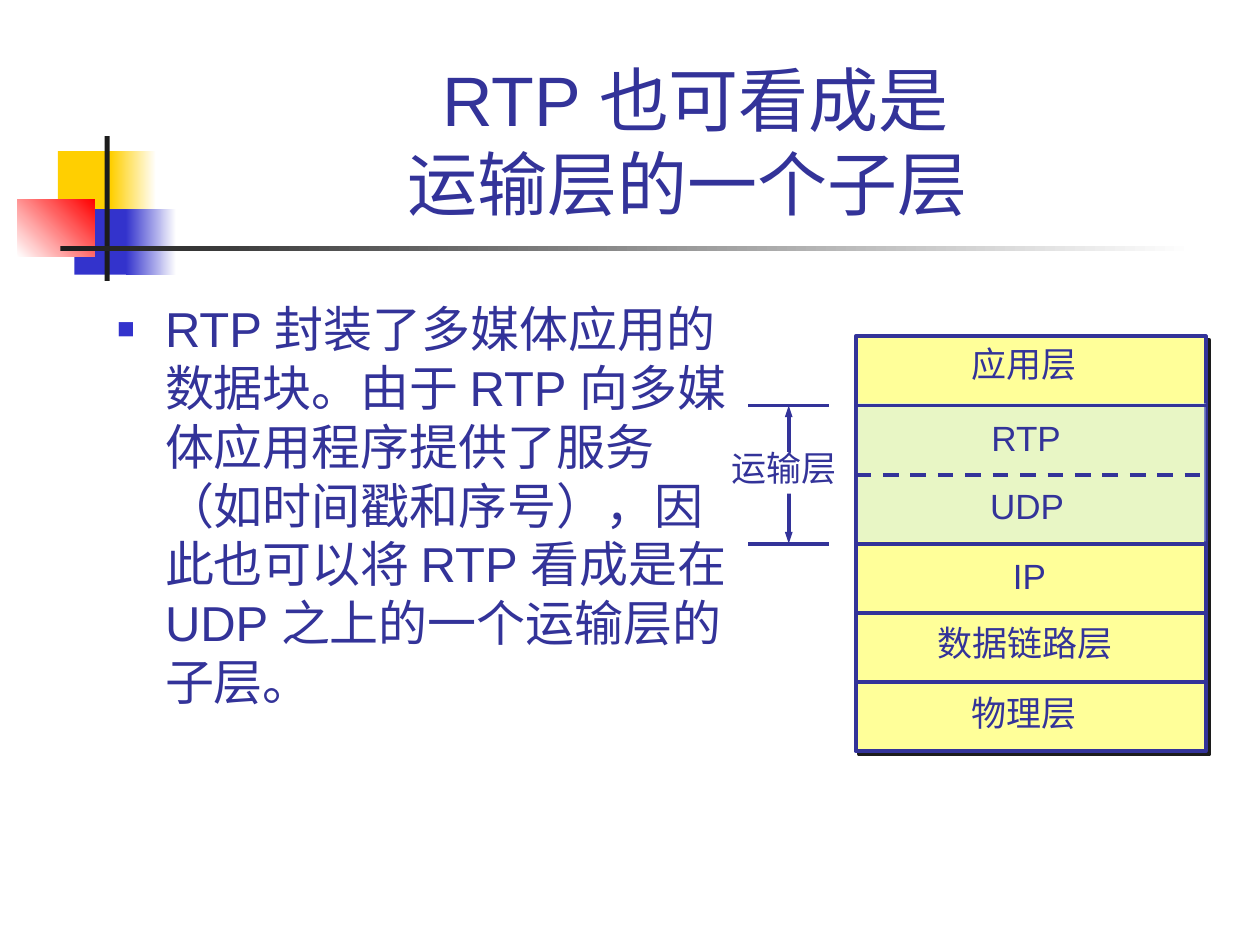
from lxml.etree import SubElement
from pptx import Presentation
from pptx.dml.color import RGBColor
from pptx.enum.dml import MSO_LINE
from pptx.enum.shapes import MSO_CONNECTOR, MSO_SHAPE
from pptx.enum.text import MSO_ANCHOR, MSO_AUTO_SIZE, PP_ALIGN
from pptx.oxml.ns import qn
from pptx.util import Inches, Pt

NAVY = RGBColor(0x33, 0x33, 0x99)
BLUE = RGBColor(0x33, 0x33, 0xCC)
GOLD = RGBColor(0xFF, 0xCF, 0x01)
RED = RGBColor(0xFF, 0x00, 0x00)
BLACK = RGBColor(0x1C, 0x1C, 0x1C)
WHITE = RGBColor(0xFF, 0xFF, 0xFF)
YELLOW = RGBColor(0xFF, 0xFF, 0x99)
SKY = RGBColor(0xCC, 0xEC, 0xFF)
FONT = "Arial"
STACK_H = 3.29
ROW_H = STACK_H / 6


def sub(parent, tag, **attrs):
    return SubElement(parent, qn(tag), attrs)


def style_text(tf, size):
    for p in tf.paragraphs:
        for r in p.runs:
            r.font.name = FONT
            r.font.size = Pt(size)
            r.font.color.rgb = NAVY


def place(sp, x, y, w, h):
    sp.left, sp.top, sp.width, sp.height = map(Inches, (x, y, w, h))


def add_rect(slide, x, y, w, h, start, end=None, angle=0):
    """Add a rectangle with a plain fill, or a gradient when end is given."""
    sp = slide.shapes.add_shape(MSO_SHAPE.RECTANGLE, *map(Inches, (x, y, w, h)))
    sp.shadow.inherit = False
    sp.line.fill.background()
    if end is None:
        sp.fill.solid()
        sp.fill.fore_color.rgb = start
    else:
        sp.fill.gradient()
        sp.fill.gradient_angle = angle
        for stop, color, pos in zip(sp.fill.gradient_stops, (start, end), (0, 1)):
            stop.color.rgb = color
            stop.position = pos
    return sp


def add_line(slide, x1, y1, x2, y2):
    ln = slide.shapes.add_connector(
        MSO_CONNECTOR.STRAIGHT, *map(Inches, (x1, y1, x2, y2)))
    ln.line.color.rgb = NAVY
    ln.line.width = Pt(2.25)
    sub(ln._element.spPr, "a:effectLst")
    return ln


def add_label(slide, text, x, y, w, h=0.43):
    """Add a one-line label; the right inset is dropped so it never wraps."""
    sp = slide.shapes.add_textbox(*map(Inches, (x, y, w, h)))
    tf = sp.text_frame
    tf.word_wrap = True
    tf.margin_right = 0
    tf.auto_size = MSO_AUTO_SIZE.NONE
    tf.text = text
    style_text(tf, 20)
    return sp


def add_decoration(slide, x, y):
    """Coloured blocks and crossing bars beside the title."""
    add_rect(slide, x + 0.32, y + 0.12, 0.48, 0.52, GOLD)
    add_rect(slide, x + 0.74, y + 0.12, 0.36, 0.52, GOLD, WHITE)
    add_rect(slide, x + 0.45, y + 0.58, 0.46, 0.52, BLUE)
    add_rect(slide, x + 0.86, y + 0.58, 0.4, 0.52, BLUE, WHITE)
    add_rect(slide, x, y + 0.5, 0.61, 0.46, WHITE, RED, 45)
    add_rect(slide, x + 0.69, y, 0.04, 1.15, BLACK)
    add_rect(slide, x + 0.34, y + 0.87, 9, 0.04, BLACK, WHITE)


def fill_title(sp, x, y, w, h):
    place(sp, x, y, w, h)
    tf = sp.text_frame
    tf.text = "RTP 也可看成是\v运输层的一个子层 "
    tf.auto_size = MSO_AUTO_SIZE.NONE
    tf.vertical_anchor = MSO_ANCHOR.BOTTOM
    tf.paragraphs[0].alignment = PP_ALIGN.CENTER
    style_text(tf, 40)


def fill_body(sp, x, y, w, h):
    place(sp, x, y, w, h)
    tf = sp.text_frame
    tf.text = ("RTP 封装了多媒体应用的数据块。由于 RTP 向多媒体应用程序提供了服务"
               "（如时间戳和序号），因此也可以将 RTP 看成是在 UDP 之上的一个运输层的子层。")
    tf.auto_size = MSO_AUTO_SIZE.NONE
    p = tf.paragraphs[0]
    pPr = p._p.get_or_add_pPr()
    pPr.set("marL", str(Inches(0.38)))
    pPr.set("indent", str(-Inches(0.38)))
    sub(sub(pPr, "a:buClr"), "a:srgbClr", val=str(BLUE))
    sub(pPr, "a:buSzPct", val="60000")
    sub(pPr, "a:buFont", typeface=FONT)
    sub(pPr, "a:buChar", char="■")
    p.space_before = Pt(0)
    style_text(tf, 28)


def add_stack_box(slide, x, y, w, h):
    """Shadowed protocol stack with a tinted transport band."""
    box = add_rect(slide, x, y, w, h, YELLOW)
    box.line.color.rgb = NAVY
    box.line.width = Pt(2.25)
    effects = box._element.spPr.find(qn("a:effectLst"))
    shadow = sub(effects, "a:outerShdw", dist=str(Pt(2.8)), dir="2700000",
                 algn="ctr", rotWithShape="0")
    sub(shadow, "a:srgbClr", val=str(BLACK))

    band = add_rect(slide, x + 0.02, y + 0.53, w - 0.02, 2 * ROW_H, SKY)
    color = band._element.spPr.find(qn("a:solidFill")).find(qn("a:srgbClr"))
    sub(color, "a:alpha", val="44000")


def add_stack_layers(slide, x, y, w):
    layers = [("应用层", 0.82, 0, 1.03), ("RTP", 0.98, 0.04, 0.76),
              ("UDP", 0.97, 0.03, 0.79), ("IP", 1.15, 0.04, 0.46),
              ("数据链路层", 0.55, 0.02, 1.59), ("物理层", 0.82, 0.03, 1.03)]
    for i, (name, dx, dy, label_w) in enumerate(layers):
        top = y + i * ROW_H
        if i:
            divider = add_line(slide, x, top, x + w, top)
            if name == "UDP":
                divider.line.dash_style = MSO_LINE.DASH
        add_label(slide, name, x + dx, top + dy, label_w)


def add_transport_span(slide, x, y, h):
    """Double arrow between two bars, labelled at its middle."""
    arrow = add_line(slide, x + 0.55, y, x + 0.55, y + h)
    ln = arrow.line._get_or_add_ln()
    for end in ("a:headEnd", "a:tailEnd"):
        sub(ln, end, type="triangle", w="sm", len="med")
    label = add_label(slide, "运输层", x, y + 0.37, 1.03, 0.33)
    label.fill.solid()
    label.fill.fore_color.rgb = WHITE
    label.text_frame.paragraphs[0].line_spacing = 0.7
    for bar_y in (y, y + h):
        add_line(slide, x + 0.23, bar_y, x + 0.87, bar_y)


def main():
    prs = Presentation()
    prs.slide_width, prs.slide_height = Inches(10), Inches(7.5)
    slide = prs.slides.add_slide(prs.slide_layouts[1])
    add_decoration(slide, 0.14, 1.08)
    fill_title(slide.shapes.title, 1.26, 0.23, 8.52, 1.6)
    fill_body(slide.placeholders[1], 0.83, 2.32, 5.04, 4.03)
    add_stack_box(slide, 6.79, 2.67, 2.78, STACK_H)
    add_stack_layers(slide, 6.79, 2.67, 2.78)
    add_transport_span(slide, 5.71, 2.67 + ROW_H, 2 * ROW_H)
    prs.save("out.pptx")


if __name__ == "__main__":
    main()
